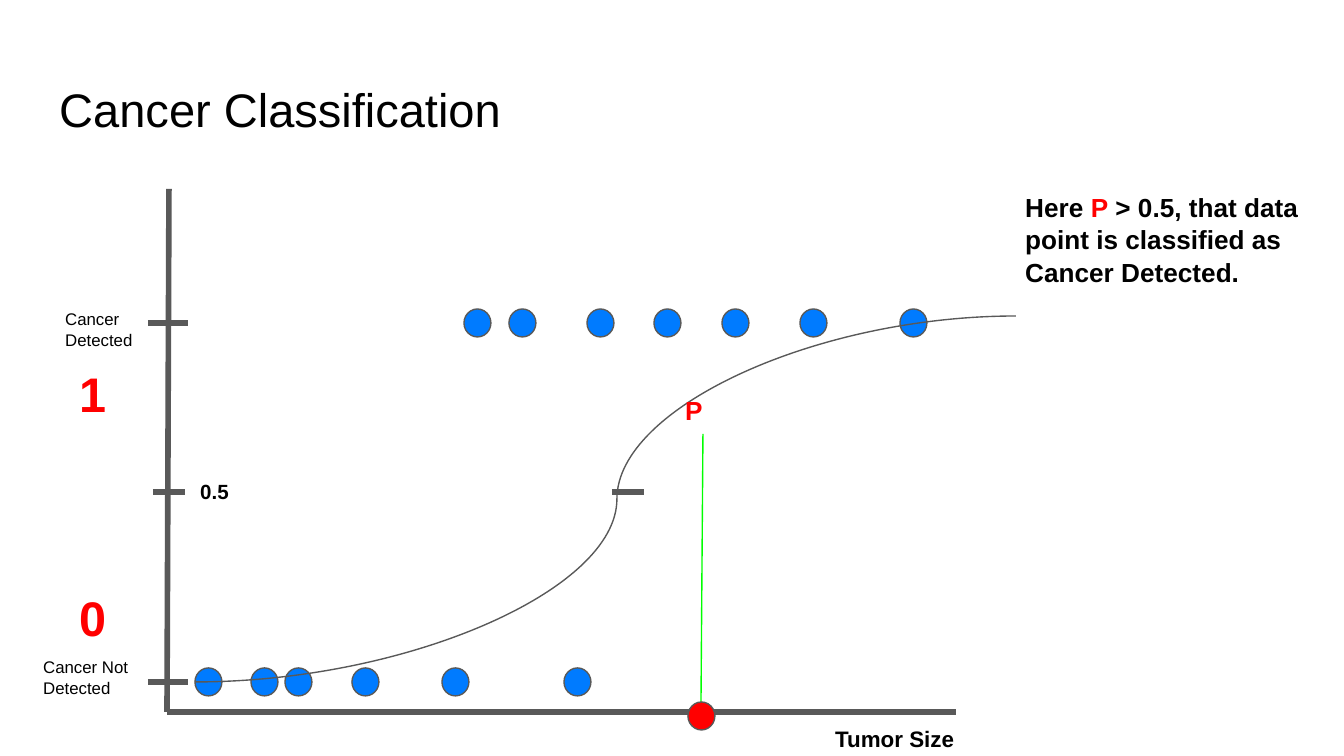
from dataclasses import dataclass

from lxml import etree
from pptx import Presentation
from pptx import util as u
from pptx.dml.color import RGBColor
from pptx.enum import shapes, text
from pptx.oxml.ns import qn

EMU_PER_PIXEL = 914400 / 134.4


@dataclass(frozen=True)
class Theme:
    font: str = "Arial"
    ink: str = "000000"
    axis: str = "595959"
    patient: str = "007BFF"
    accent: str = "FF0000"
    probability: str = "00FF00"
    thin: float = 0.75
    thick: float = 3
    title: float = 25.2
    value: float = 26
    note: float = 14
    axis_name: float = 12
    midpoint: float = 11
    category: float = 9
    spacing: float = 1.05


THEME = Theme()


@dataclass(frozen=True)
class Label:
    left: int
    top: int
    width: int
    height: int
    wording: tuple[tuple[str, str], ...]
    size: float
    bold: bool = True
    spacing: float = THEME.spacing
    anchor: text.MSO_ANCHOR = text.MSO_ANCHOR.TOP


@dataclass(frozen=True)
class Line:
    start: tuple[int, int]
    end: tuple[int, int]
    color: str = THEME.axis
    weight: float = THEME.thick
    kind: shapes.MSO_CONNECTOR = shapes.MSO_CONNECTOR.STRAIGHT
    bend: int = 0


@dataclass(frozen=True)
class Dot:
    left: int
    top: int
    color: str = THEME.patient


def px(length: float) -> u.Emu:
    return u.Emu(round(length * EMU_PER_PIXEL))


def tick(center: int, y: int, half: int) -> Line:
    return Line((center - half, y), (center + half, y))


def draw_label(slide, label: Label) -> None:
    box = slide.shapes.add_textbox(*map(px, (label.left, label.top, label.width, label.height)))
    frame = box.text_frame
    frame.word_wrap = True
    frame.vertical_anchor = label.anchor
    frame.margin_left = frame.margin_right = u.Inches(0.1)
    frame.margin_top = frame.margin_bottom = u.Inches(0.1)
    paragraph = frame.paragraphs[0]
    paragraph.line_spacing = label.spacing
    for words, color in label.wording:
        run = paragraph.add_run()
        run.text = words
        run.font.name = THEME.font
        run.font.size = u.Pt(label.size)
        run.font.bold = label.bold
        run.font.color.rgb = RGBColor.from_string(color)


def draw_line(slide, line: Line) -> None:
    connector = slide.shapes.add_connector(line.kind, *map(px, line.start + line.end))
    connector.line.color.rgb = RGBColor.from_string(line.color)
    connector.line.width = u.Pt(line.weight)
    properties = connector._element.spPr
    etree.SubElement(properties, qn("a:effectLst"))
    if line.bend:
        geometry = properties.find(qn("a:prstGeom"))
        guides = geometry.find(qn("a:avLst"))
        if guides is None:
            guides = etree.SubElement(geometry, qn("a:avLst"))
        etree.SubElement(guides, qn("a:gd"), name="adj1", fmla=f"val {line.bend}")


def draw_dot(slide, dot: Dot) -> None:
    shape = slide.shapes.add_shape(
        shapes.MSO_SHAPE.OVAL, *map(px, (dot.left, dot.top, 27, 28))
    )
    shape.shadow.inherit = False
    shape.fill.solid()
    shape.fill.fore_color.rgb = RGBColor.from_string(dot.color)
    shape.line.color.rgb = RGBColor.from_string(THEME.axis)
    shape.line.width = u.Pt(THEME.thin)


DETECTED_TOP, NOT_DETECTED_TOP = 309, 668
DETECTED = (464, 509, 587, 654, 722, 800, 900)
NOT_DETECTED = (195, 251, 285, 352, 442, 564)

AXES = (Line((169, 189), (167, 712)), Line((167, 712), (956, 712)))
DOTS = [Dot(left, DETECTED_TOP) for left in DETECTED]
DOTS += [Dot(left, NOT_DETECTED_TOP) for left in NOT_DETECTED]
LINES = (
    tick(168, 323, 20),
    tick(168, 682, 20),
    Line((195, 682), (1016, 316), weight=THEME.thin,
         kind=shapes.MSO_CONNECTOR.CURVE, bend=51400),
    Line((703, 434), (701, 702), THEME.probability, THEME.thin),
    tick(169, 492, 16),
    tick(628, 492, 16),
)
NEW_PATIENT = Dot(688, 702, THEME.accent)
LABELS = (
    Label(46, 66, 1252, 85, (("Cancer Classification", THEME.ink),), THEME.title,
          bold=False, spacing=1, anchor=text.MSO_ANCHOR.MIDDLE),
    Label(52, 294, 120, 67, (("Cancer Detected", THEME.ink),), THEME.category, bold=False),
    Label(30, 642, 120, 67, (("Cancer Not Detected", THEME.ink),), THEME.category, bold=False),
    Label(822, 710, 356, 54, (("Tumor Size", THEME.ink),), THEME.axis_name),
    Label(66, 348, 95, 86, (("1", THEME.accent),), THEME.value),
    Label(66, 572, 95, 86, (("0", THEME.accent),), THEME.value),
    Label(1012, 176, 327, 122, (
        ("Here ", THEME.ink),
        ("P", THEME.accent),
        (" > 0.5, that data point is classified as Cancer Detected.", THEME.ink),
    ), THEME.note),
    Label(672, 379, 58, 59, (("P", THEME.accent),), THEME.note),
    Label(187, 465, 65, 52, (("0.5", THEME.ink),), THEME.midpoint),
)


def main() -> None:
    presentation = Presentation()
    presentation.slide_width, presentation.slide_height = px(1344), px(756)
    slide = presentation.slides.add_slide(presentation.slide_layouts[6])
    for axis in AXES:
        draw_line(slide, axis)
    for dot in DOTS:
        draw_dot(slide, dot)
    for line in LINES:
        draw_line(slide, line)
    for label in LABELS:
        draw_label(slide, label)
    draw_dot(slide, NEW_PATIENT)
    presentation.save("out.pptx")


main()
